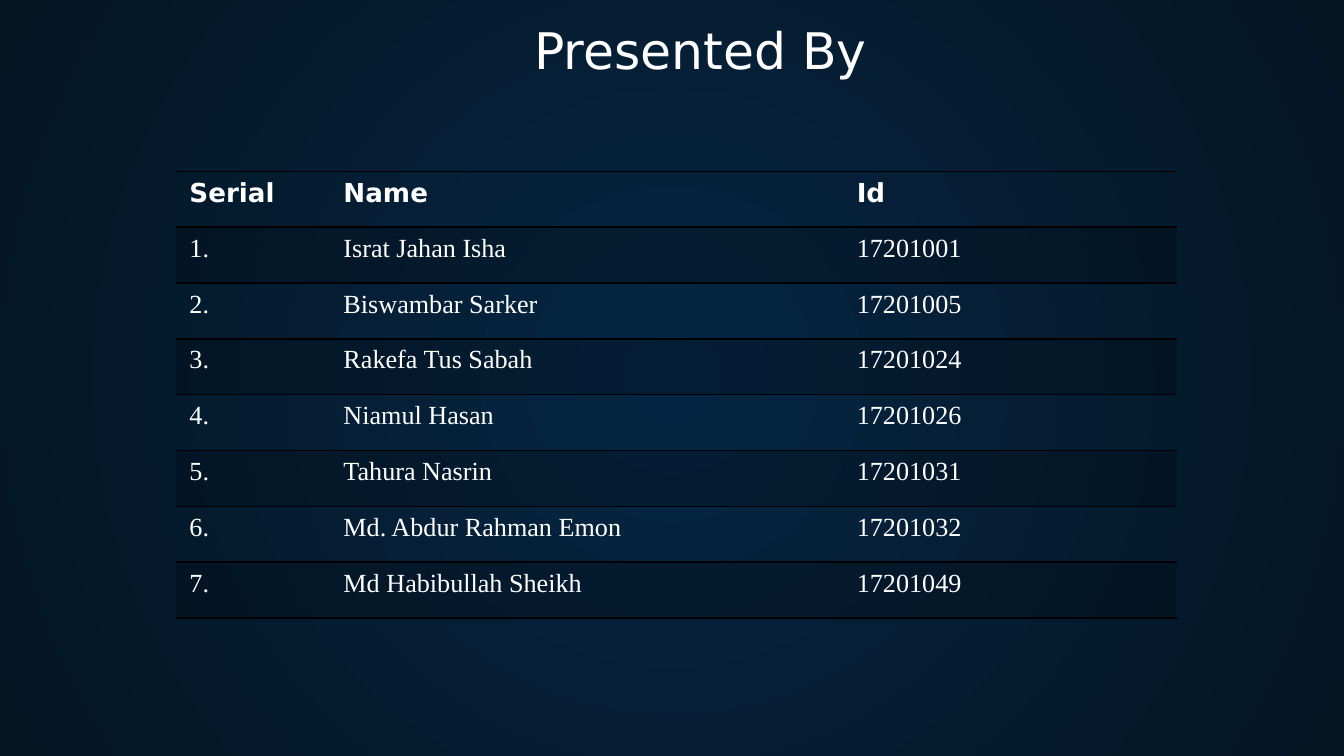
"""Build the slide that lists the presenters with their ids."""
from lxml import etree
from pptx import Presentation
from pptx.dml.color import RGBColor
from pptx.enum import text
from pptx.oxml import ns
from pptx.util import Pt

WHITE = RGBColor(0xFF, 0xFF, 0xFF)
BLACK = RGBColor(0x00, 0x00, 0x00)
GLOW = RGBColor(0x05, 0x26, 0x43)
EDGE = RGBColor(0x04, 0x15, 0x23)
HEADING_FONT = "DejaVu Sans"
BODY_FONT = "Times New Roman"
PLAIN_TABLE = "{2D5ABB26-0587-4C30-8999-92F81FD0307C}"

HEADINGS = ("Serial", "Name", "Id")
PRESENTERS = (
    ("Israt Jahan Isha", "17201001"),
    ("Biswambar Sarker", "17201005"),
    ("Rakefa Tus Sabah", "17201024"),
    ("Niamul Hasan", "17201026"),
    ("Tahura Nasrin", "17201031"),
    ("Md. Abdur Rahman Emon", "17201032"),
    ("Md Habibullah Sheikh", "17201049"),
)


def write(frame, words, font=BODY_FONT, size=14, bold=False, color=WHITE):
    paragraph = frame.paragraphs[0]
    paragraph.alignment = text.PP_ALIGN.LEFT
    run = paragraph.add_run()
    run.text = words
    run.font.name = font
    run.font.size = Pt(size)
    run.font.bold = bold
    run.font.color.rgb = color


def add_node(parent, tag, **attributes):
    return etree.SubElement(parent, ns.qn(tag), attributes)


class Deck:
    def __init__(self, width, height):
        self.presentation = Presentation()
        self.presentation.slide_width = Pt(width)
        self.presentation.slide_height = Pt(height)
        self.slide = self.presentation.slides.add_slide(
            self.presentation.slide_layouts[5])

    def background(self, center, edge):
        fill = self.slide.background.fill
        fill.gradient()
        for stop, position, color in zip(fill.gradient_stops, (0, 1), (center, edge)):
            stop.position = position
            stop.color.rgb = color
        gradient = self.slide.element.xpath(".//p:bg//a:gradFill")[0]
        gradient.remove(gradient.find(ns.qn("a:lin")))
        circle = add_node(gradient, "a:path", path="circle")
        add_node(circle, "a:fillToRect", l="50000", t="50000", r="50000", b="50000")

    def title(self, words, left, top, width, height):
        heading = self.slide.shapes.title
        heading.left, heading.top = Pt(left), Pt(top)
        heading.width, heading.height = Pt(width), Pt(height)
        frame = heading.text_frame
        frame.word_wrap = True
        frame.auto_size = text.MSO_AUTO_SIZE.SHAPE_TO_FIT_TEXT
        frame.vertical_anchor = text.MSO_ANCHOR.TOP
        write(frame, words, font=HEADING_FONT, size=27)

    def rule_cell(self, cell):
        properties = cell._tc.get_or_add_tcPr()
        for index, side in enumerate(("a:lnT", "a:lnB")):
            line = add_node(properties, side, w=str(Pt(1)))
            add_node(add_node(line, "a:solidFill"), "a:srgbClr", val=str(BLACK))
            properties.insert(index, line)

    def shade_cell(self, cell, opacity):
        cell.fill.solid()
        cell.fill.fore_color.rgb = BLACK
        shade = cell._tc.tcPr.find(".//" + ns.qn("a:srgbClr"))
        add_node(shade, "a:alpha", val=str(opacity * 1000))

    def table(self, rows, left, top, widths, row_height):
        frame = self.slide.shapes.add_table(
            len(rows), len(widths), Pt(left), Pt(top),
            Pt(sum(widths)), Pt(row_height * len(rows)))
        grid = frame.table
        grid.horz_banding = False
        grid._tbl.tblPr.find(ns.qn("a:tableStyleId")).text = PLAIN_TABLE
        for column, width in zip(grid.columns, widths):
            column.width = Pt(width)
        for number, (row, entries) in enumerate(zip(grid.rows, rows)):
            row.height = Pt(row_height)
            header = number == 0
            for cell, words in zip(row.cells, entries):
                write(cell.text_frame, words, bold=header,
                      font=HEADING_FONT if header else BODY_FONT)
                if number % 2:
                    self.shade_cell(cell, 20)
                else:
                    cell.fill.background()
                self.rule_cell(cell)

    def save(self):
        self.presentation.save("out.pptx")


def main():
    deck = Deck(720, 405)
    deck.background(GLOW, EDGE)
    deck.title("Presented By", 279, 6.5, 360, 40)
    members = [(f"{serial}.", *member) for serial, member in enumerate(PRESENTERS, 1)]
    deck.table([HEADINGS, *members], 94.3, 91.8, (82.5, 275, 178.5), 29.92)
    deck.save()


if __name__ == "__main__":
    main()
